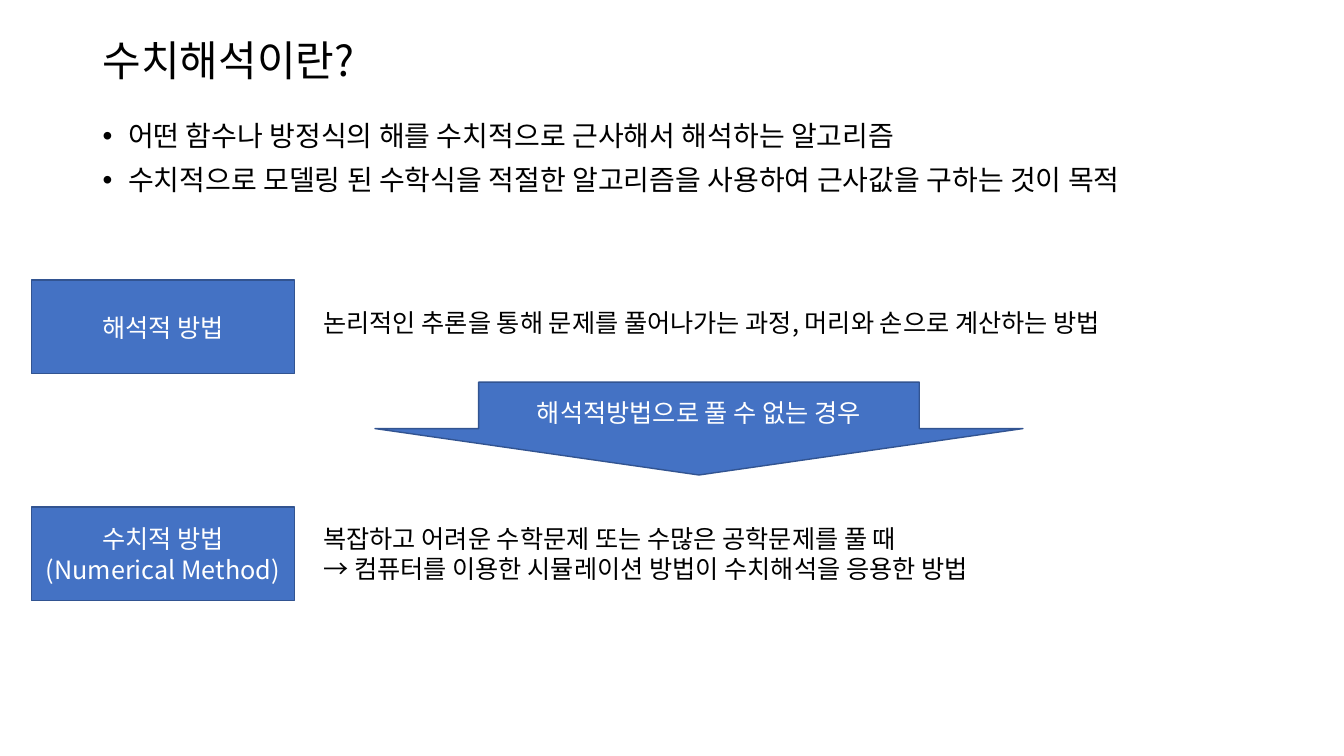
"""Build a slide that defines numerical analysis and contrasts two methods."""
import pptx
import pptx.dml.color
import pptx.enum.shapes
import pptx.enum.text
import pptx.oxml
import pptx.oxml.ns
import pptx.util

Cm, Pt = pptx.util.Cm, pptx.util.Pt
Kind = pptx.enum.shapes.MSO_SHAPE
Align = pptx.enum.text.PP_ALIGN
Anchor = pptx.enum.text.MSO_ANCHOR

FONT = "Noto Sans CJK KR"
COLORS = {"text": "000000", "light": "FFFFFF", "fill": "4472C4", "line": "325491"}

TITLE = ["수치해석이란?"]
POINTS = [
    "어떤 함수나 방정식의 해를 수치적으로 근사해서 해석하는 알고리즘",
    "수치적으로 모델링 된 수학식을 적절한 알고리즘을 사용하여 근사값을 구하는 것이 목적",
]
METHODS = [
    {
        "label": ["해석적 방법"],
        "details": ["논리적인 추론을 통해 문제를 풀어나가는 과정, 머리와 손으로 계산하는 방법"],
        "label_top": 7.06, "details_top": 7.62, "details_height": 1.02,
    },
    {
        "label": ["수치적 방법", "(Numerical Method)"],
        "details": [
            "복잡하고 어려운 수학문제 또는 수많은 공학문제를 풀 때",
            "→ 컴퓨터를 이용한 시뮬레이션 방법이 수치해석을 응용한 방법",
        ],
        "label_top": 12.78, "details_top": 13.06, "details_height": 1.8,
    },
]
TRANSITION = ["해석적방법으로 풀 수 없는 경우"]


def color(name):
    return pptx.dml.color.RGBColor.from_string(COLORS[name])


def write(shape, lines, size, ink, align=Align.LEFT, anchor=Anchor.TOP):
    frame = shape.text_frame
    frame.word_wrap = True
    frame.vertical_anchor = anchor
    for index, line in enumerate(lines):
        para = frame.paragraphs[0] if index == 0 else frame.add_paragraph()
        para.alignment = align
        span = para.add_run()
        span.text = line
        span.font.size = Pt(size)
        span.font.name = FONT
        span.font.color.rgb = color(ink)
        east_asian = pptx.oxml.parse_xml(
            f'<a:ea {pptx.oxml.ns.nsdecls("a")} typeface="{FONT}"/>')
        span.font._element.append(east_asian)
    return frame.paragraphs


def add_text(page, area, lines, size, anchor=Anchor.TOP):
    box = page.shapes.add_textbox(*map(Cm, area))
    return write(box, lines, size, "text", anchor=anchor)


def add_block(page, kind, area, lines):
    block = page.shapes.add_shape(kind, *map(Cm, area))
    block.shadow.inherit = False
    block.fill.solid()
    block.fill.fore_color.rgb = color("fill")
    block.line.color.rgb = color("line")
    block.line.width = Pt(1)
    write(block, lines, 18, "light", Align.CENTER, Anchor.MIDDLE)
    return block


def add_bullet(para):
    props = para._p.get_or_add_pPr()
    props.set("marL", str(Cm(0.64)))
    props.set("indent", str(-Cm(0.64)))
    for tag in (f'buFont {pptx.oxml.ns.nsdecls("a")} typeface="Arial"',
                f'buChar {pptx.oxml.ns.nsdecls("a")} char="•"'):
        props.append(pptx.oxml.parse_xml(f"<a:{tag}/>"))


deck = pptx.Presentation()
deck.slide_width, deck.slide_height = Cm(33.87), Cm(19.05)
page = deck.slides.add_slide(deck.slide_layouts[6])

heading = add_text(page, (2.34, 0.61, 29.21, 1.93), TITLE, 30, Anchor.MIDDLE)
heading[0].line_spacing = 0.9

for para in add_text(page, (2.34, 2.95, 29.21, 2.36), POINTS, 20):
    para.line_spacing = 0.9
    para.space_before = Pt(10)
    add_bullet(para)

for method in METHODS:
    add_block(page, Kind.RECTANGLE, (0.79, method["label_top"], 6.63, 2.36), method["label"])
    add_text(page, (7.9, method["details_top"], 23.11, method["details_height"]),
             method["details"], 18)

arrow = add_block(page, Kind.DOWN_ARROW, (9.45, 9.63, 16.33, 2.34), TRANSITION)
arrow.adjustments[0] = 0.68
arrow.adjustments[1] = 0.5

deck.save("out.pptx")
